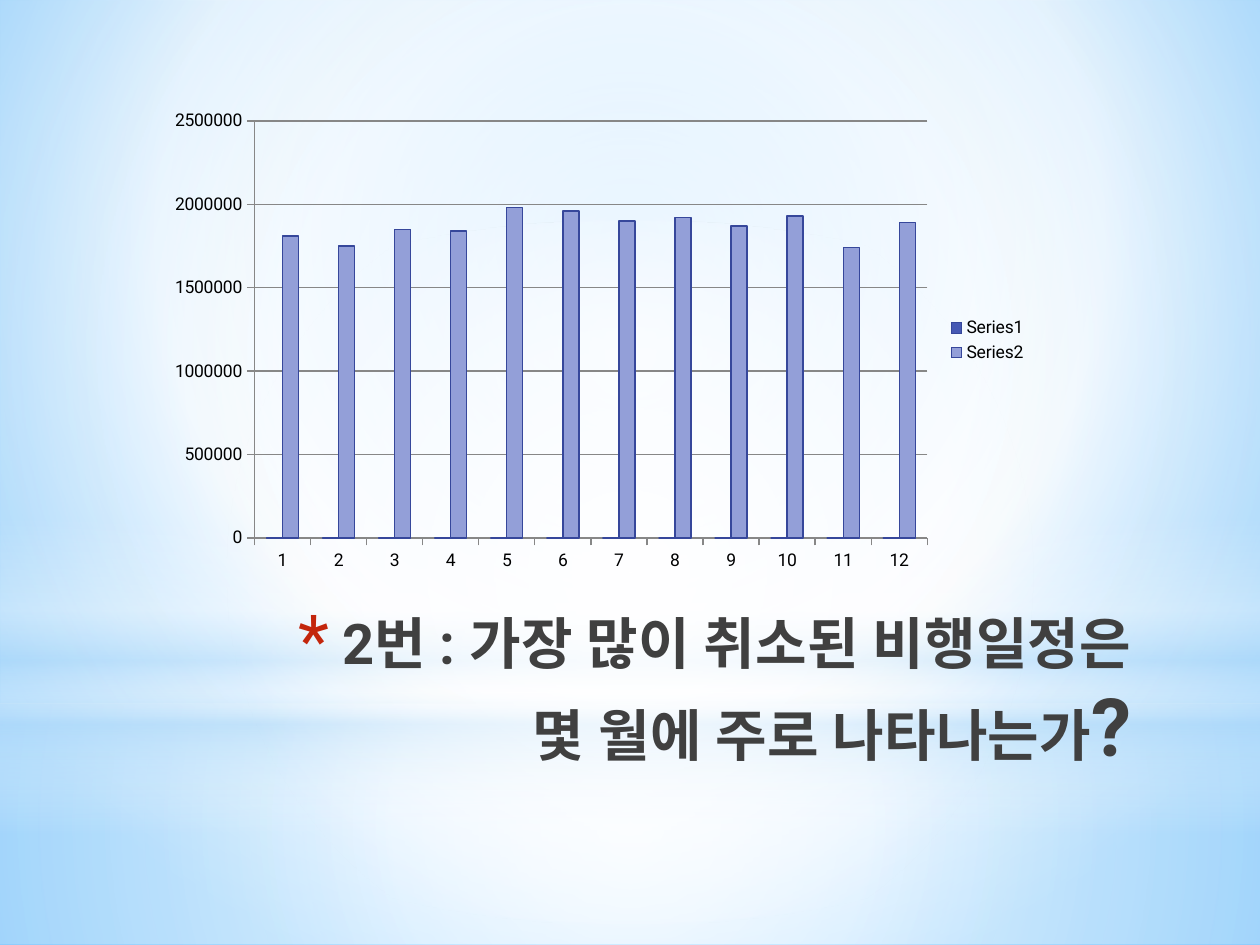
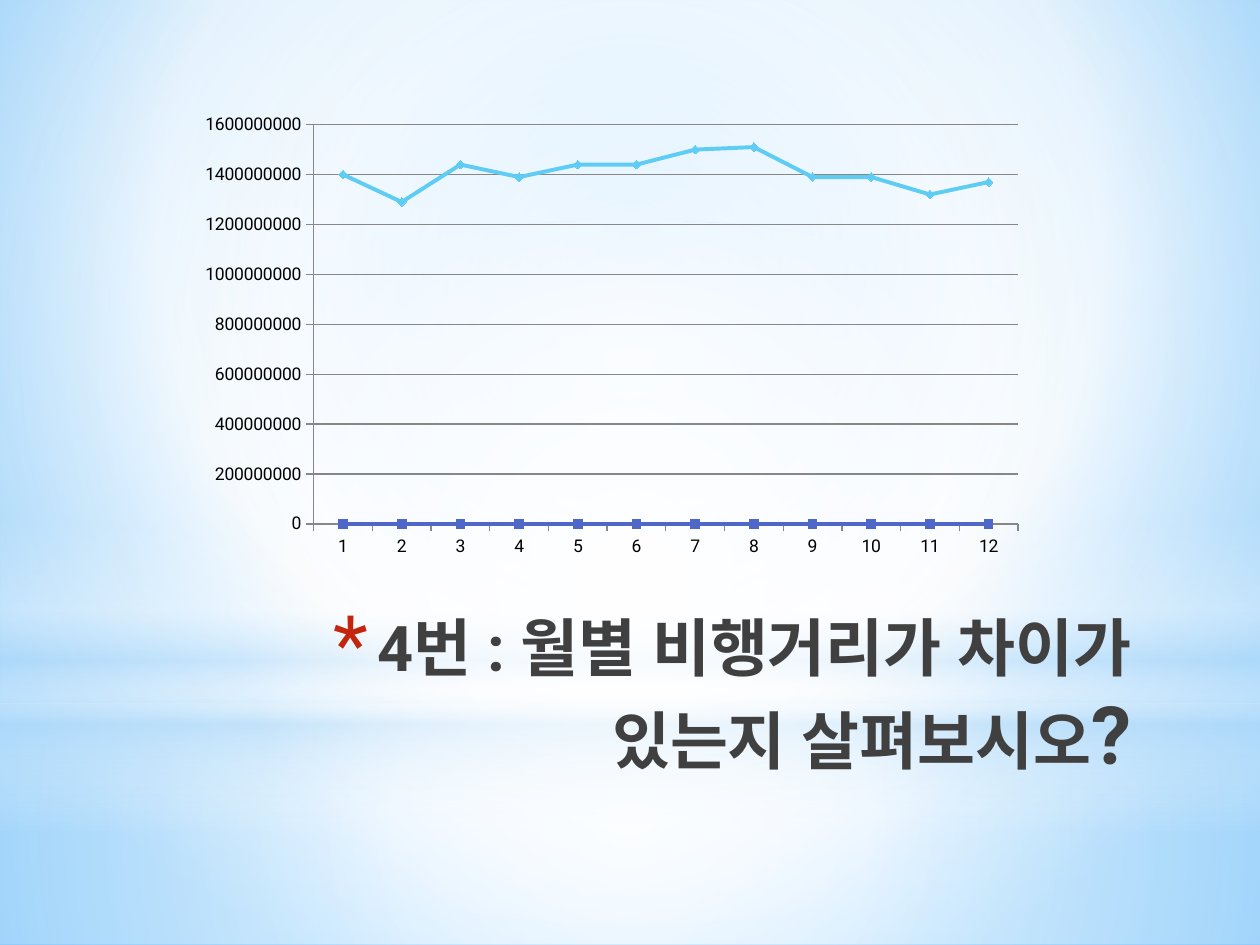
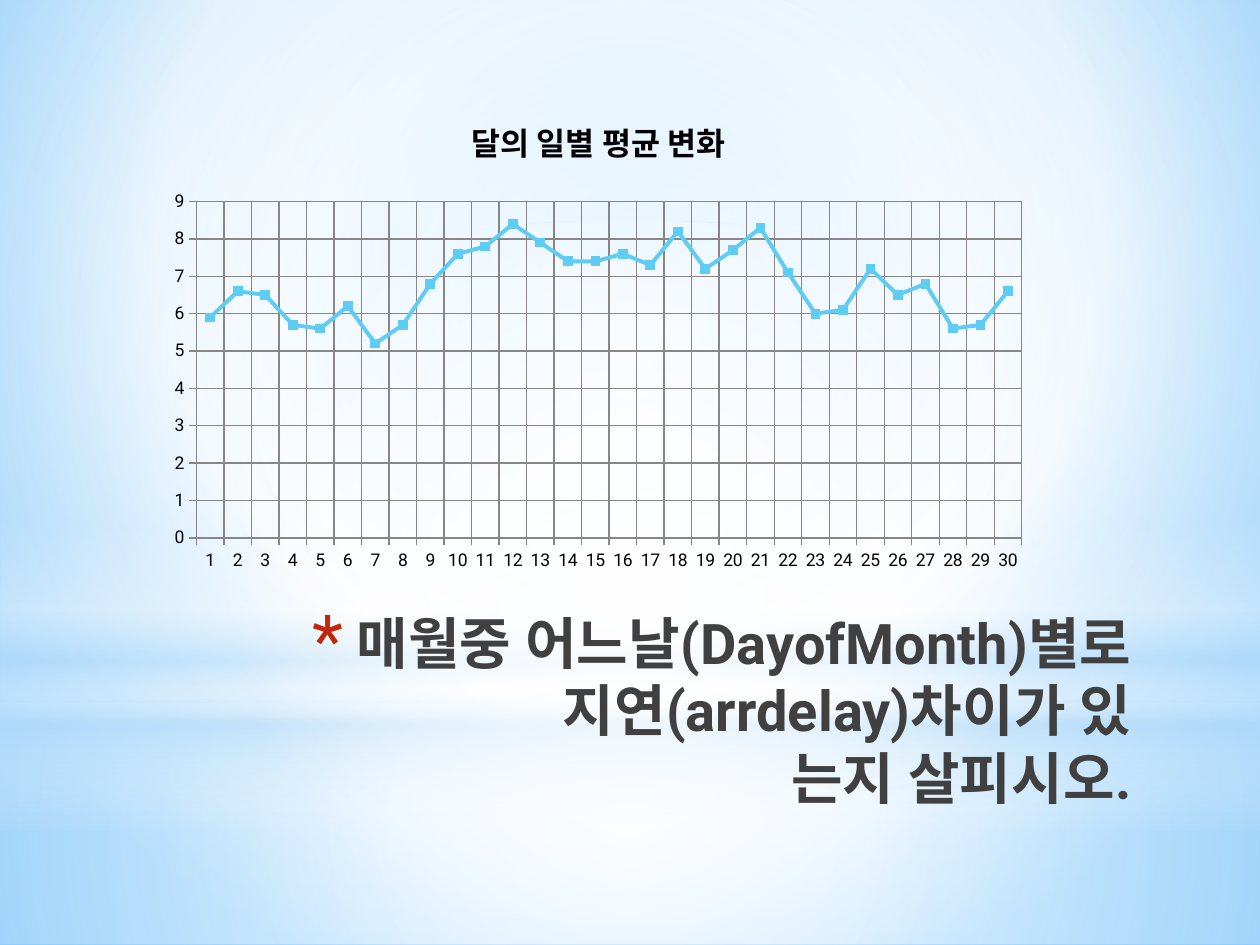
"""Build three slides of questions and charts about flight records."""
from dataclasses import dataclass

from lxml import etree
from pptx import Presentation
from pptx.chart.data import CategoryChartData
from pptx.dml.color import RGBColor
from pptx.enum.chart import XL_CHART_TYPE, XL_LEGEND_POSITION, XL_MARKER_STYLE, XL_TICK_MARK
from pptx.enum.shapes import MSO_SHAPE
from pptx.enum.text import MSO_ANCHOR, MSO_AUTO_SIZE
from pptx.oxml.ns import qn
from pptx.util import Inches, Pt

COLUMNS = XL_CHART_TYPE.COLUMN_CLUSTERED
LINES = XL_CHART_TYPE.LINE_MARKERS
LEGEND_RIGHT = XL_LEGEND_POSITION.RIGHT
SQUARE = XL_MARKER_STYLE.SQUARE
DIAMOND = XL_MARKER_STYLE.DIAMOND
TICK_OUTSIDE = XL_TICK_MARK.OUTSIDE
RECTANGLE = MSO_SHAPE.RECTANGLE
OVAL = MSO_SHAPE.OVAL
ANCHOR_TOP = MSO_ANCHOR.TOP
NO_AUTO_SIZE = MSO_AUTO_SIZE.NONE

TITLE_ONLY = 5
CENTER = (50, 50, 50, 50)
SEAM = 67 / 12
CHART_BOX = (1.25, 0.8, 7, 3.8)


@dataclass(frozen=True)
class Gradient:
    """Stops of position, colour and opacity, running down or out of a focus."""

    stops: tuple
    focus: tuple = ()


@dataclass(frozen=True)
class Theme:
    """Colours, type sizes and line widths of the presentation."""

    font: str = "Roboto"
    white: str = "FFFFFF"
    haze: str = "B4DCFA"
    bullet: str = "C3260C"
    chart_text: str = "000000"
    grid: str = "878787"
    indigo: str = "4E67C8"
    sky: str = "5ECCF3"
    column_dark: str = "4659B4"
    column_light: str = "939FD8"
    column_edge: str = "36479B"
    mark_size: int = 46
    chart_size: int = 10
    chart_title_size: int = 18
    grid_width: float = 0.75
    series_width: float = 2.25
    marker_size: int = 5


THEME = Theme()
BACKGROUND = Gradient(((0, "9ED5FF", 100), (60, THEME.white, 100), (100, "5BB9FF", 100)),
                      (20, 10, 20, 60))
TITLE_INK = Gradient(((0, "000000", 100), (40, "404040", 100), (100, "212745", 65)))
LOWER_GLOW = Gradient(((0, THEME.white, 91), (37, THEME.white, 76), (100, THEME.haze, 79)), CENTER)
UPPER_GLOW = Gradient(((0, THEME.white, 89), (48, THEME.white, 62), (100, THEME.haze, 79)), CENTER)
HORIZON = Gradient(((0, THEME.white, 0), (29, THEME.white, 30), (45, THEME.haze, 40),
                    (55, THEME.white, 26), (65, THEME.haze, 60), (100, THEME.white, 0)))
HALO = Gradient(((0, THEME.white, 100), (56, THEME.white, 0)), CENTER)
BACKDROP = (
    (RECTANGLE, SEAM, 7.5 - SEAM, LOWER_GLOW),
    (RECTANGLE, 0, SEAM, UPPER_GLOW),
    (RECTANGLE, 4.12, 2.5, HORIZON),
    (OVAL, 1.75, SEAM, HALO),
)


@dataclass(frozen=True)
class Series:
    """Name, values and look of one chart series."""

    name: str
    values: tuple
    color: str
    marker: object = None


@dataclass(frozen=True)
class ChartContent:
    """Type, data, value scale and plot box in inches of one chart."""

    kind: object
    series: tuple
    maximum: float
    step: float
    plot_box: tuple
    title: str = ""
    legend: bool = False
    category_grid: bool = False


NO_VALUES = (0,) * 12
CANCELLATIONS = ChartContent(
    COLUMNS,
    (Series("Series1", NO_VALUES, THEME.column_dark),
     Series("Series2", (1810000, 1750000, 1850000, 1840000, 1980000, 1960000, 1900000, 1920000,
                        1870000, 1930000, 1740000, 1890000), THEME.column_light)),
    2500000, 500000, (2.02, 0.96, 5.34, 3.31), legend=True)
DISTANCES = ChartContent(
    LINES,
    (Series("Series 1", NO_VALUES, THEME.indigo, SQUARE),
     Series("Series 2", (1400000000, 1290000000, 1440000000, 1390000000, 1440000000, 1440000000,
                         1500000000, 1510000000, 1390000000, 1390000000, 1320000000, 1370000000),
            THEME.sky, DIAMOND)),
    1600000000, 200000000, (2.49, 0.99, 5.59, 3.17))
DAILY_DELAYS = ChartContent(
    LINES,
    (Series("Series 1", (5.9, 6.6, 6.5, 5.7, 5.6, 6.2, 5.2, 5.7, 6.8, 7.6, 7.8, 8.4, 7.9, 7.4, 7.4,
                         7.6, 7.3, 8.2, 7.2, 7.7, 8.3, 7.1, 6, 6.1, 7.2, 6.5, 6.8, 5.6, 5.7, 6.6),
            THEME.sky, SQUARE),),
    9, 1, (1.56, 1.6, 6.55, 2.67), title="달의 일별 평균 변화", category_grid=True)
SLIDES = (
    ("2번 : 가장 많이 취소된 비행일정은 몇 월에 주로 나타나는가", "?", 32, CANCELLATIONS),
    ("4번 : 월별 비행거리가 차이가 있는지 살펴보시오", "?", 36, DISTANCES),
    ("매월중 어느날(DayofMonth)별로 지연(arrdelay)차이가 있\v는지 살피시오.", "", 32, DAILY_DELAYS),
)


def add_element(parent, tag, **attributes):
    """Append an XML element with the given attributes."""
    values = {name: str(value) for name, value in attributes.items()}
    return etree.SubElement(parent, qn(tag), values)


def paint_gradient(fill, owner, gradient):
    """Give the fill found inside owner a gradient."""
    fill.solid()
    solid = next(owner.iter(qn("a:solidFill")))
    painted = etree.Element(qn("a:gradFill"), {"rotWithShape": "1"})
    stops = add_element(painted, "a:gsLst")
    for position, color, opacity in gradient.stops:
        stop = add_element(stops, "a:gs", pos=position * 1000)
        tint = add_element(stop, "a:srgbClr", val=color)
        if opacity < 100:
            add_element(tint, "a:alpha", val=opacity * 1000)
    if gradient.focus:
        circle = add_element(painted, "a:path", path="circle")
        sides = {side: share * 1000 for side, share in zip("ltrb", gradient.focus)}
        add_element(circle, "a:fillToRect", **sides)
    else:
        add_element(painted, "a:lin", ang=5400000, scaled=0)
    solid.getparent().replace(solid, painted)


def style_titles(master):
    """Align all titles right, with a hanging red asterisk."""
    title_style = next(master.element.iter(qn("p:titleStyle")))
    level = title_style.find(qn("a:lvl1pPr"))
    level.set("algn", "r")
    level.set("marL", str(Inches(0.35)))
    level.set("indent", str(Inches(-0.35)))
    for plain in level.findall(qn("a:buNone")):
        level.remove(plain)
    defaults = level.find(qn("a:defRPr"))
    color = add_element(level, "a:buClr")
    add_element(color, "a:srgbClr", val=THEME.bullet)
    add_element(level, "a:buSzPct", val=128000)
    add_element(level, "a:buFont", typeface=THEME.font)
    add_element(level, "a:buChar", char="*")
    level.append(defaults)


def decorate_master(presentation, slide):
    """Set the background and move the backdrop shapes to the master."""
    master = presentation.slide_master
    paint_gradient(master.background.fill, master.element, BACKGROUND)
    for index, (kind, top, height, gradient) in enumerate(BACKDROP):
        shape = slide.shapes.add_shape(kind, 0, Inches(top), presentation.slide_width, Inches(height))
        shape.shadow.inherit = False
        shape.line.fill.background()
        paint_gradient(shape.fill, shape.element, gradient)
        next(shape.element.iter(qn("p:cNvPr"))).set("id", str(100 + index))
        master.shapes.element.insert(2 + index, shape.element)


def set_typeface(font, properties):
    """Use the theme font for Latin and East Asian text."""
    font.name = THEME.font
    latin = properties.find(qn("a:latin"))
    latin.addnext(etree.Element(qn("a:ea"), {"typeface": THEME.font}))


def set_title(slide, question, mark, size):
    """Place the question in the title, with a larger closing mark."""
    title = slide.shapes.title
    title.left, title.top = Inches(1.96), Inches(4.78)
    title.width, title.height = Inches(7.12), Inches(1.25)
    frame = title.text_frame
    frame.word_wrap = True
    frame.auto_size = NO_AUTO_SIZE
    frame.vertical_anchor = ANCHOR_TOP
    paragraph = frame.paragraphs[0]
    paragraph.text = question
    if mark:
        paragraph.add_run().text = mark
    for run in paragraph.runs:
        run.font.bold = True
        run.font.size = Pt(THEME.mark_size if run.text == mark else size)
        paint_gradient(run.font.fill, run._r, TITLE_INK)
        set_typeface(run.font, run._r.get_or_add_rPr())


def format_line(line, color, width):
    """Set the colour and width of a line."""
    line.color.rgb = RGBColor.from_string(color)
    line.width = Pt(width)


def format_font(font, size, bold=False):
    """Set the chart font at the given size."""
    font.name = THEME.font
    font.size = Pt(size)
    font.bold = bold
    font.color.rgb = RGBColor.from_string(THEME.chart_text)


def format_axis(axis, has_grid):
    """Set ticks, axis line and gridlines."""
    axis.major_tick_mark = TICK_OUTSIDE
    axis.has_major_gridlines = has_grid
    format_line(axis.format.line, THEME.grid, THEME.grid_width)
    if has_grid:
        format_line(axis.major_gridlines.format.line, THEME.grid, THEME.grid_width)


def place_plot(chart, plot_box):
    """Fix the inner plot area at a box on the slide."""
    chart_left, chart_top, chart_width, chart_height = CHART_BOX
    left, top, width, height = plot_box
    shares = {
        "c:x": (left - chart_left) / chart_width,
        "c:y": (top - chart_top) / chart_height,
        "c:w": width / chart_width,
        "c:h": height / chart_height,
    }
    area = next(chart.element.iter(qn("c:plotArea")))
    for old in area.findall(qn("c:layout")):
        area.remove(old)
    layout = etree.Element(qn("c:layout"))
    manual = add_element(layout, "c:manualLayout")
    add_element(manual, "c:layoutTarget", val="inner")
    for tag in ("c:xMode", "c:yMode"):
        add_element(manual, tag, val="edge")
    for tag, share in shares.items():
        add_element(manual, tag, val=share)
    area.insert(0, layout)


def format_series(series, look):
    """Colour a column series or a line series with its markers."""
    color = RGBColor.from_string(look.color)
    if look.marker is None:
        series.format.fill.solid()
        series.format.fill.fore_color.rgb = color
        format_line(series.format.line, THEME.column_edge, THEME.grid_width)
        return
    series.smooth = False
    format_line(series.format.line, look.color, THEME.series_width)
    marker = series.marker
    marker.style = look.marker
    marker.size = THEME.marker_size
    marker.format.fill.solid()
    marker.format.fill.fore_color.rgb = color
    format_line(marker.format.line, look.color, THEME.grid_width)


def add_chart(slide, content):
    """Add a chart above the title."""
    data = CategoryChartData()
    data.categories = [str(number + 1) for number in range(len(content.series[0].values))]
    for look in content.series:
        data.add_series(look.name, look.values)
    box = [Inches(length) for length in CHART_BOX]
    chart = slide.shapes.add_chart(content.kind, *box, data).chart
    format_font(chart.font, THEME.chart_size)
    chart.has_title = bool(content.title)
    if content.title:
        chart.chart_title.text_frame.text = content.title
        run = chart.chart_title.text_frame.paragraphs[0].runs[0]
        format_font(run.font, THEME.chart_title_size, bold=True)
        set_typeface(run.font, run._r.get_or_add_rPr())
    chart.has_legend = content.legend
    if content.legend:
        chart.legend.position = LEGEND_RIGHT
        chart.legend.include_in_layout = False
    format_axis(chart.category_axis, content.category_grid)
    format_axis(chart.value_axis, True)
    chart.value_axis.minimum_scale = 0
    chart.value_axis.maximum_scale = content.maximum
    chart.value_axis.major_unit = content.step
    plot = chart.plots[0]
    plot.vary_by_categories = False
    if content.kind == COLUMNS:
        plot.gap_width = 150
        plot.overlap = 0
    for series, look in zip(plot.series, content.series):
        format_series(series, look)
    place_plot(chart, content.plot_box)


def main():
    """Build and save the presentation."""
    presentation = Presentation()
    presentation.slide_width, presentation.slide_height = Inches(10), Inches(7.5)
    style_titles(presentation.slide_master)
    for question, mark, size, content in SLIDES:
        slide = presentation.slides.add_slide(presentation.slide_layouts[TITLE_ONLY])
        set_title(slide, question, mark, size)
        add_chart(slide, content)
    decorate_master(presentation, presentation.slides[0])
    presentation.save("out.pptx")


if __name__ == "__main__":
    main()
